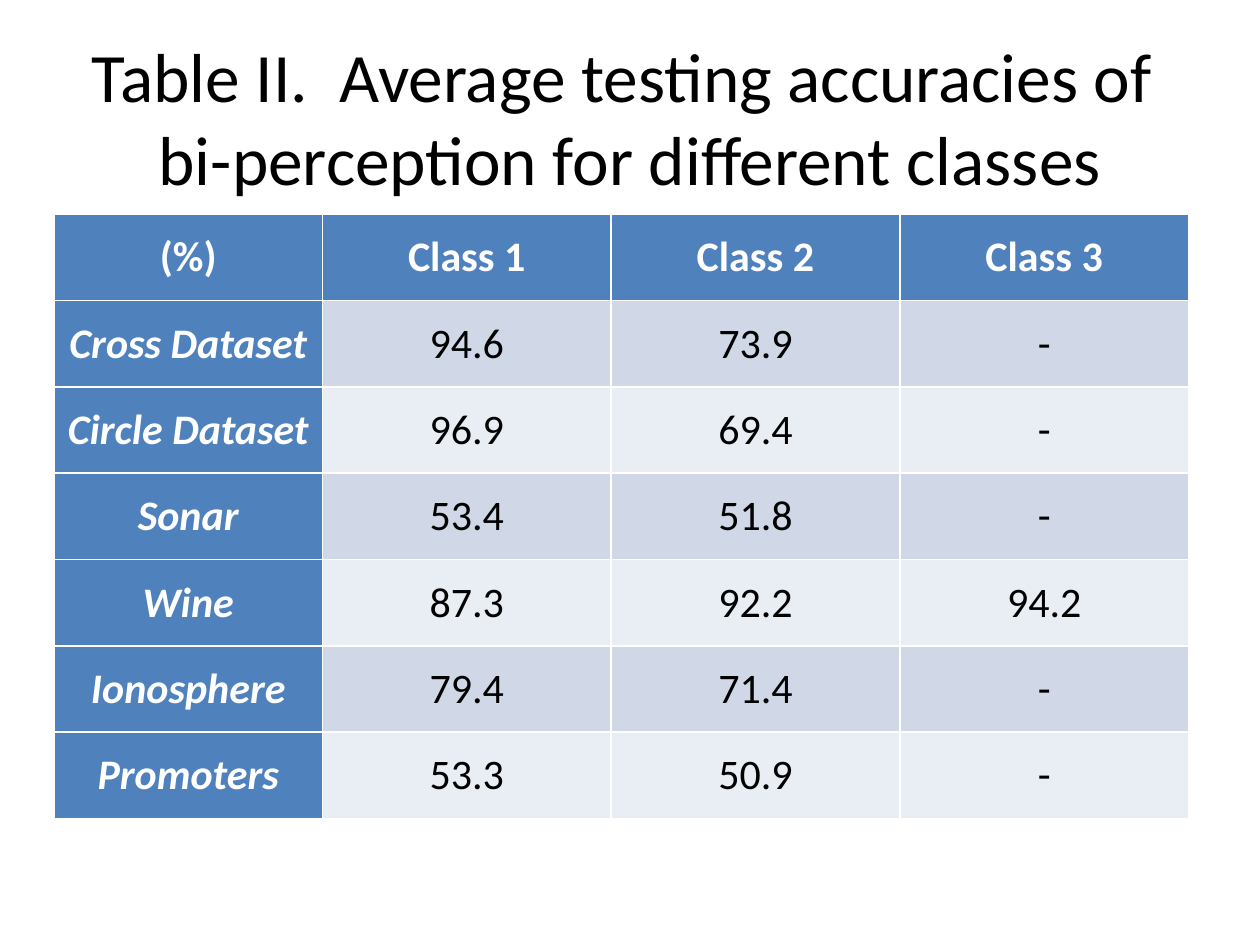
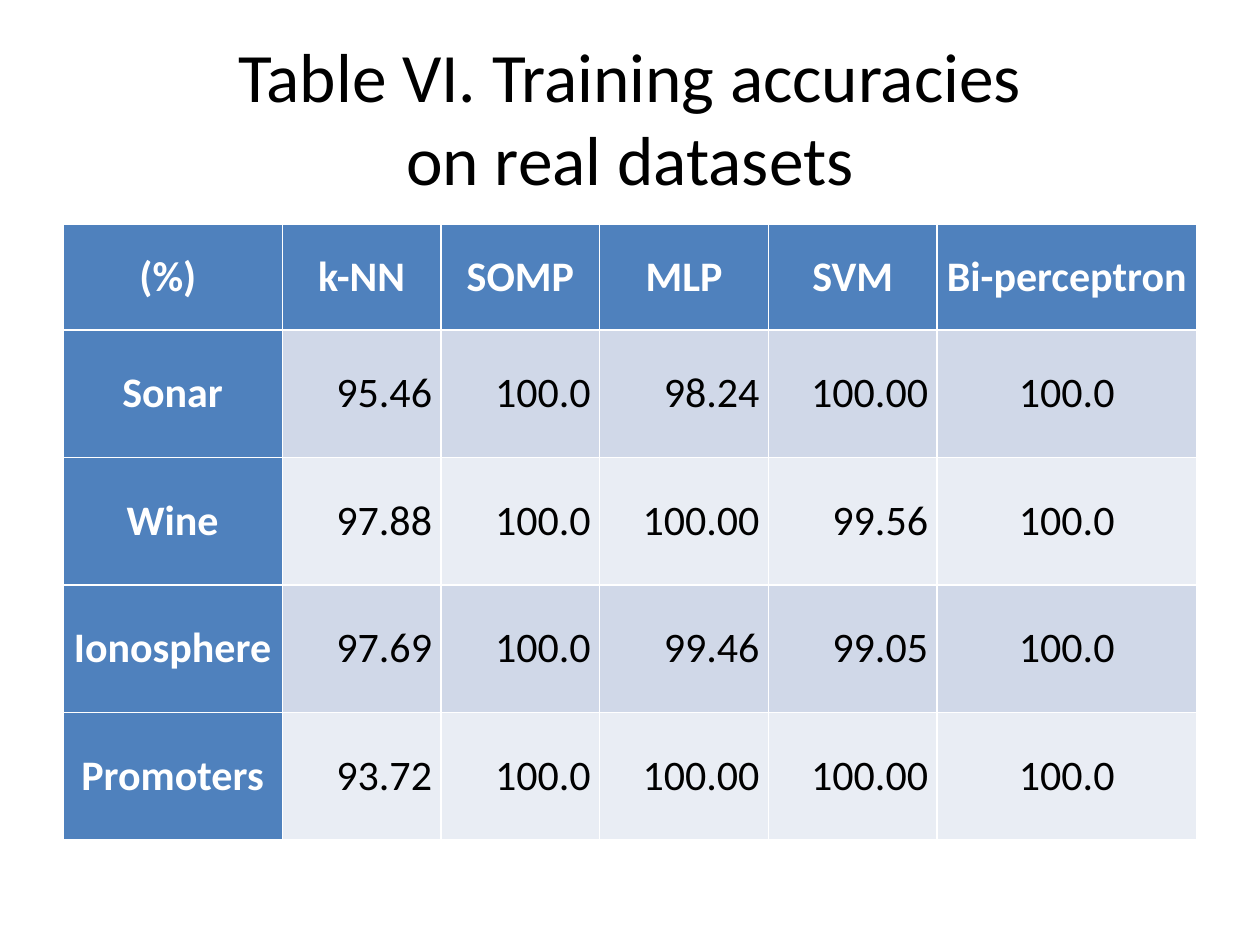
from pptx import Presentation
from pptx.dml.color import RGBColor
from pptx.enum.text import MSO_ANCHOR, MSO_AUTO_SIZE, PP_ALIGN
from pptx.util import Cm, Pt

# Content
TABLES = [
    {
        "title": ["Table II.  Average testing accuracies of ",
                  "bi-perception for different classes"],
        "header": ["(%)", "Class 1", "Class 2", "Class 3"],
        "results": [
            ("Cross Dataset", "94.6", "73.9", "-"),
            ("Circle Dataset", "96.9", "69.4", "-"),
            ("Sonar", "53.4", "51.8", "-"),
            ("Wine", "87.3", "92.2", "94.2"),
            ("Ionosphere", "79.4", "71.4", "-"),
            ("Promoters", "53.3", "50.9", "-"),
        ],
        "corner": (1.09, 4.32),
        "widths": [5.41, 5.82, 5.82, 5.82],
        "aligns": "cccc",
        "header_height": 1.74,
        "result_height": 1.74,
        "italic_names": True,
    },
    {
        "title": ["Table VI. Training accuracies", "on real datasets"],
        "header": ["(%) ", "k-NN", "SOMP", "MLP", "SVM", "Bi-perceptron"],
        "results": [
            ("Sonar", "95.46", "100.0", "98.24", "100.00", "100.0"),
            ("Wine", "97.88", "100.0", "100.00", "99.56", "100.0"),
            ("Ionosphere", "97.69", "100.0", "99.46", "99.05", "100.0"),
            ("Promoters", "93.72", "100.0", "100.00", "100.00", "100.0"),
        ],
        "corner": (1.27, 4.52),
        "widths": [4.42, 3.2, 3.2, 3.4, 3.4, 5.23],
        "aligns": "crrrrc",
        "header_height": 2.13,
        "result_height": 2.57,
        "italic_names": False,
    },
]

# Shared style
FONT = "Calibri"
BLACK, WHITE, BLUE = "000000", "FFFFFF", "4F81BD"
BANDS = ["D0D8E8", "E9EDF4"]
ALIGN = {"c": PP_ALIGN.CENTER, "r": PP_ALIGN.RIGHT}


def rgb(color):
    return RGBColor.from_string(color)


def format_text(frame, size, color, align="c", bold=False, italic=False):
    for paragraph in frame.paragraphs:
        paragraph.alignment = ALIGN[align]
        for run in paragraph.runs:
            font = run.font
            font.name, font.size = FONT, Pt(size)
            font.bold, font.italic = bold, italic
            font.color.rgb = rgb(color)


def add_title(slide, lines):
    title = slide.shapes.title
    title.left, title.top = Cm(1.27), Cm(0.76)
    title.width, title.height = Cm(22.86), Cm(3.18)
    frame = title.text_frame
    frame.text = "\v".join(lines)
    frame.auto_size = MSO_AUTO_SIZE.NONE
    frame.vertical_anchor = MSO_ANCHOR.MIDDLE
    format_text(frame, 39.6, BLACK)


def fill_cell(cell, text, fill, color, **style):
    cell.fill.solid()
    cell.fill.fore_color.rgb = rgb(fill)
    cell.vertical_anchor = MSO_ANCHOR.MIDDLE
    cell.margin_left = cell.margin_right = Cm(0.18)
    cell.margin_top = cell.margin_bottom = 0
    cell.text_frame.text = text
    format_text(cell.text_frame, 24, color, **style)


def add_accuracies(slide, content):
    records = [content["header"], *content["results"]]
    widths = content["widths"]
    heights = [content["header_height"]]
    heights += [content["result_height"]] * len(content["results"])
    left, top = content["corner"]
    grid = slide.shapes.add_table(
        len(records), len(widths), Cm(left), Cm(top),
        Cm(sum(widths)), Cm(sum(heights))).table
    grid.first_col = True  # the table style draws the white grid lines

    for column, width in zip(grid.columns, widths):
        column.width = Cm(width)
    for r, (record, height) in enumerate(zip(records, heights)):
        grid.rows[r].height = Cm(height)
        for c, (text, align) in enumerate(zip(record, content["aligns"])):
            cell = grid.cell(r, c)
            if r == 0:
                fill_cell(cell, text, BLUE, WHITE, bold=True)
            elif c == 0:
                fill_cell(cell, text, BLUE, WHITE, bold=True,
                          italic=content["italic_names"])
            else:
                fill_cell(cell, text, BANDS[(r - 1) % 2], BLACK, align=align)


def main():
    deck = Presentation()
    deck.slide_width, deck.slide_height = Cm(25.4), Cm(19.05)
    title_only = deck.slide_layouts[5]
    for content in TABLES:
        slide = deck.slides.add_slide(title_only)
        add_title(slide, content["title"])
        add_accuracies(slide, content)
    deck.save("out.pptx")


if __name__ == "__main__":
    main()
